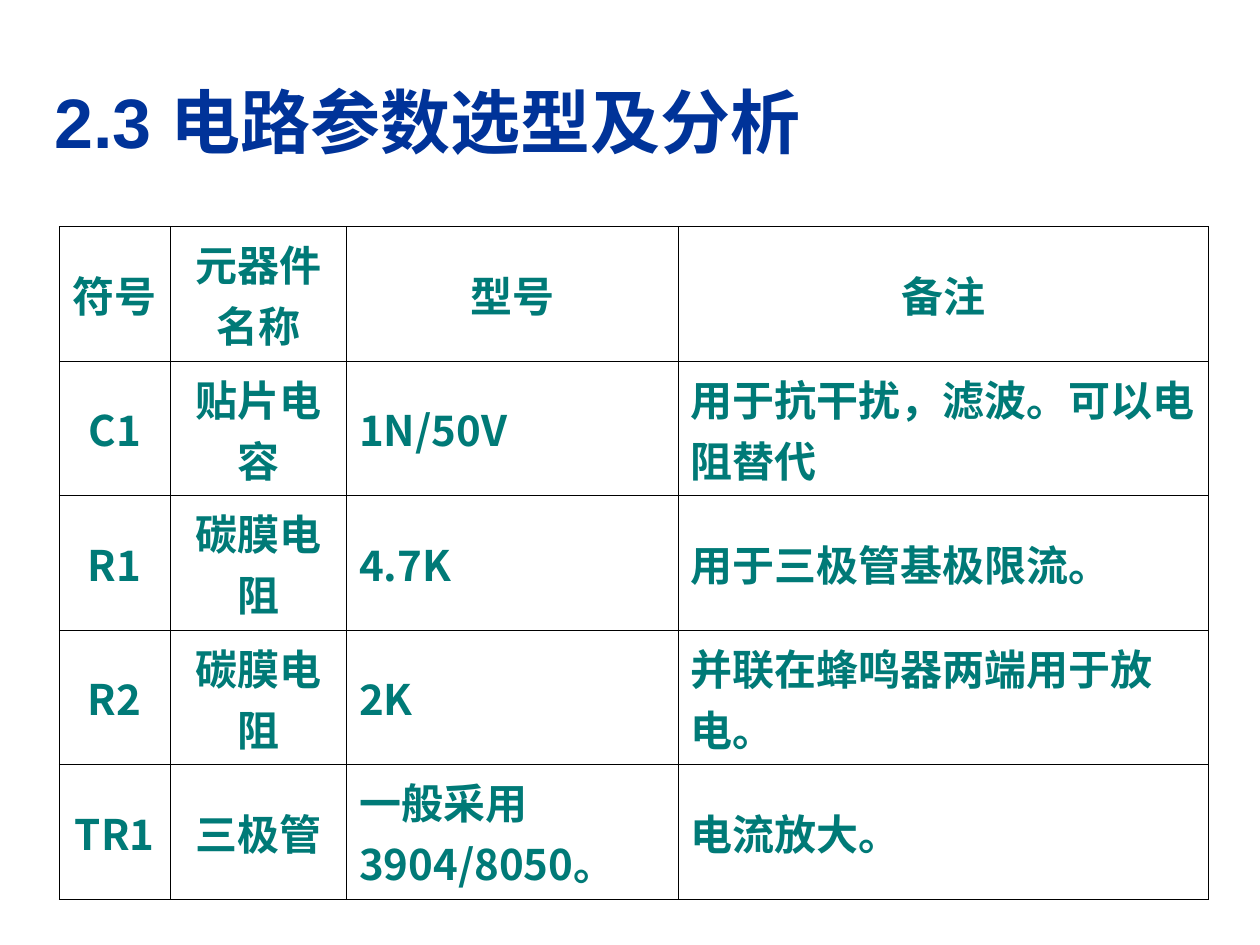
import pptx
import pptx.util
import pptx.dml.color
import pptx.enum.text
import pptx.oxml
import pptx.oxml.ns
import lxml.etree

Inches = pptx.util.Inches
ALIGN = pptx.enum.text.PP_ALIGN
MIDDLE = pptx.enum.text.MSO_ANCHOR.MIDDLE
CJK = "Noto Sans CJK SC"
TITLE = "2.3 电路参数选型及分析"
WIDTHS = (0.88, 1.4, 2.63, 4.21)
HEIGHTS = (0.9, 0.96, 0.96, 0.9, 0.9)
ROWS = (
    ("符号", "元器件名称", "型号", "备注"),
    ("C1", "贴片电容", "1N/50V", "用于抗干扰，滤波。可以电阻替代"),
    ("R1", "碳膜电阻", "4.7K", "用于三极管基极限流。"),
    ("R2", "碳膜电阻", "2K", "并联在蜂鸣器两端用于放电。"),
    ("TR1", "三极管", "一般采用3904/8050。", "电流放大。"),
)


def color(code):
    """Turn a hex string into a colour."""
    return pptx.dml.color.RGBColor.from_string(code)


def write(para, text, size=24, font=CJK, tint="007A77", align=ALIGN.LEFT):
    """Add a bold run to a paragraph and keep its punctuation inside the box."""
    para.alignment = align
    para._p.get_or_add_pPr().set("hangingPunct", "0")
    run = para.add_run()
    run.text = text
    run.font.size = pptx.util.Pt(size)
    run.font.bold = True
    run.font.name = font
    run.font.color.rgb = color(tint)
    east = lxml.etree.SubElement(run.font._element, pptx.oxml.ns.qn("a:ea"))
    east.set("typeface", CJK)


def edge(cell, tint="000000", width=0.45):
    """Draw a thin line on all four sides of a cell."""
    props = cell._tc.get_or_add_tcPr()
    for spot, side in enumerate(("lnL", "lnR", "lnT", "lnB")):
        line = pptx.oxml.parse_xml(
            f'<a:{side} {pptx.oxml.ns.nsdecls("a")} w="{pptx.util.Pt(width)}">'
            f'<a:solidFill><a:srgbClr val="{tint}"/></a:solidFill></a:{side}>'
        )
        props.insert(spot, line)


def head(slide, left, top, width, height):
    """Place the title in the upper part of its box."""
    shape = slide.shapes.title
    shape.left, shape.top, shape.width, shape.height = map(
        Inches, (left, top, width, height))
    frame = shape.text_frame
    frame.auto_size = pptx.enum.text.MSO_AUTO_SIZE.NONE
    frame.word_wrap = True
    frame.vertical_anchor = MIDDLE
    frame.margin_top, frame.margin_bottom = 0, Inches(0.68)
    write(frame.paragraphs[0], TITLE, size=40, font="Arial", tint="003399")


def grid(slide, left, top, width, height):
    """Build the parts table, centring the header and the first two columns."""
    box = map(Inches, (left, top, width, height))
    table = slide.shapes.add_table(len(ROWS), len(WIDTHS), *box).table
    table.horz_banding = False
    table.first_row = False
    for col, wide in zip(table.columns, WIDTHS):
        col.width = Inches(wide)
    for r, texts in enumerate(ROWS):
        table.rows[r].height = Inches(HEIGHTS[r])
        for c, text in enumerate(texts):
            cell = table.cell(r, c)
            cell.fill.background()
            cell.vertical_anchor = MIDDLE
            edge(cell)
            mid = r == 0 or c < 2
            write(cell.text_frame.paragraphs[0], text,
                  align=ALIGN.CENTER if mid else ALIGN.LEFT)


def main():
    """Make the deck and save it."""
    deck = pptx.Presentation()
    deck.slide_width, deck.slide_height = Inches(10), Inches(7.5)
    slide = deck.slides.add_slide(deck.slide_layouts[5])
    head(slide, 0.33, 0.67, 9.34, 1.25)
    grid(slide, 0.47, 1.8, sum(WIDTHS), sum(HEIGHTS))
    deck.save("out.pptx")


if __name__ == "__main__":
    main()
